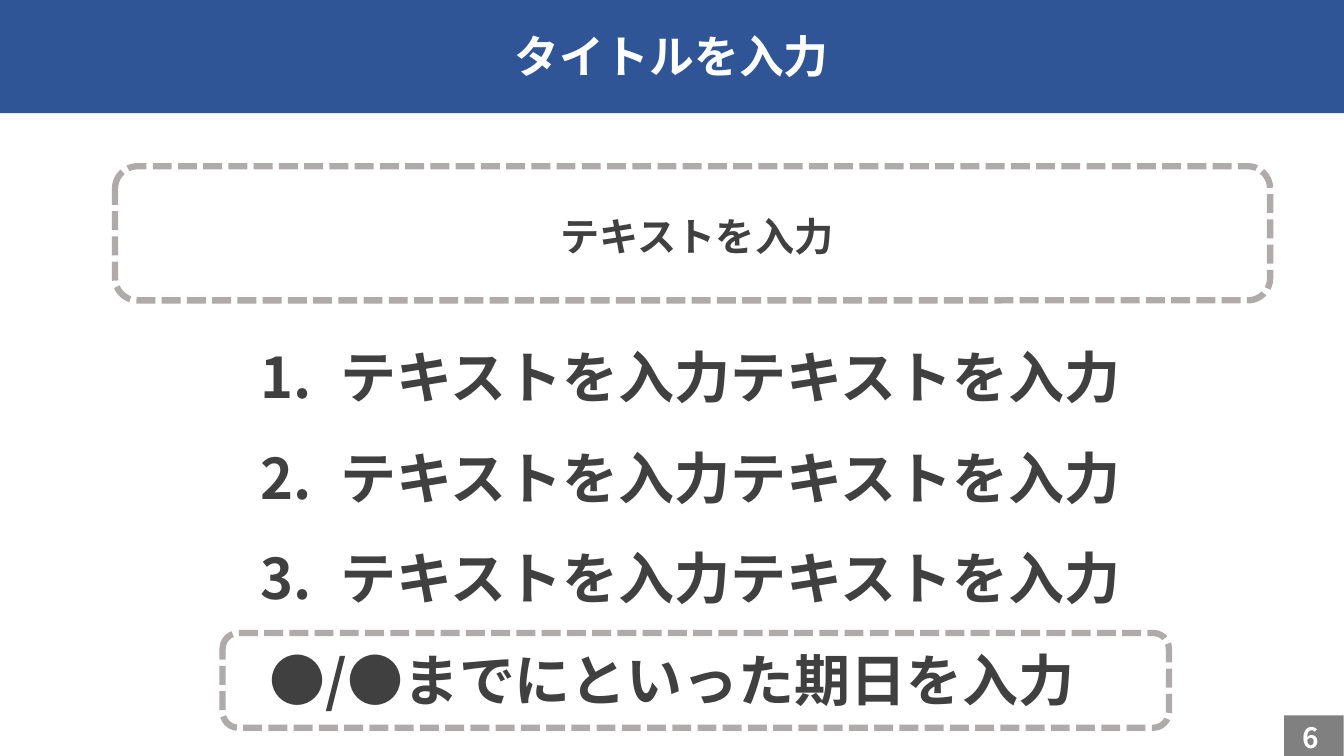
from lxml import etree
from pptx import Presentation, util as u
from pptx.dml.color import RGBColor
from pptx.enum import dml, shapes, text
from pptx.oxml.ns import qn

HUES = {"blue": "2F5597", "dark": "404040", "gray": "808080",
        "edge": "AFABAB", "white": "FFFFFF"}
FONT = "Noto Sans CJK JP"


def hue(name):
    """Return a named colour."""
    return RGBColor.from_string(HUES[name])


def write(frame, lines, size=40, color="dark", align="CENTER", num=False):
    """Write bold paragraphs into a text frame, numbered on request."""
    frame.word_wrap = True
    for i, line in enumerate(lines):
        para = frame.add_paragraph() if i else frame.paragraphs[0]
        para.alignment = getattr(text.PP_ALIGN, align)
        if num:
            para.line_spacing = 1.5
            props = para._p.get_or_add_pPr()
            props.set("marL", str(u.Cm(1.73)))
            props.set("indent", str(u.Cm(-1.7)))
            etree.SubElement(props, qn("a:buFont"), typeface="+mj-lt")
            etree.SubElement(props, qn("a:buAutoNum"), type="arabicPeriod")
        run = para.add_run()
        run.text = line
        font = run.font
        font.name, font.size, font.bold = FONT, u.Pt(size), True
        font.color.rgb = hue(color)
        etree.SubElement(run._r.get_or_add_rPr(), qn("a:ea"), typeface=FONT)


class Page:
    """Hold the slide and its style."""

    def __init__(self, deck):
        """Add a blank slide."""
        self.items = deck.slides.add_slide(deck.slide_layouts[6]).shapes

    def shape(self, kind, box):
        """Add a plain shape."""
        item = self.items.add_shape(kind, *map(u.Cm, box))
        item.shadow.inherit = False
        return item

    def block(self, box, color):
        """Add a filled rectangle."""
        item = self.shape(shapes.MSO_SHAPE.RECTANGLE, box)
        item.fill.solid()
        item.fill.fore_color.rgb = hue(color)
        item.line.fill.background()
        return item.text_frame

    def frame(self, box):
        """Add a dashed rounded outline."""
        item = self.shape(shapes.MSO_SHAPE.ROUNDED_RECTANGLE, box)
        item.fill.background()
        item.line.color.rgb = hue("edge")
        item.line.width = u.Pt(4.5)
        item.line.dash_style = dml.MSO_LINE.SQUARE_DOT

    def label(self, box, lines, flush=False, **form):
        """Add a text box that grows with its text."""
        frame = self.items.add_textbox(*map(u.Cm, box)).text_frame
        frame.auto_size = text.MSO_AUTO_SIZE.SHAPE_TO_FIT_TEXT
        if flush:
            frame.margin_left = frame.margin_right = frame.margin_bottom = 0
            frame.margin_top = u.Cm(0.03)
        write(frame, lines, **form)


def main():
    """Build and save the slide."""
    deck = Presentation()
    deck.slide_width, deck.slide_height = u.Cm(33.87), u.Cm(19.05)
    page = Page(deck)
    page.label((6.53, 7.75, 22, 7.49), [" テキストを入力テキストを入力"] * 3,
               flush=True, align="LEFT", num=True)
    page.label((0, 16.15, 33.87, 1.96), ["●/●までにといった期日を入力"])
    page.frame((2.9, 4.19, 29.11, 3.38))
    page.frame((5.61, 15.95, 23.85, 2.39))
    page.block((32.36, 18.03, 1.5, 1.02), "gray")
    page.label((32.05, 18.03, 1.8, 1.12), [" 6"], size=20, color="white")
    page.label((3.15, 5.23, 28.6, 1.45), [" テキストを入力"], size=28)
    title = page.block((0, -0.05, 33.87, 2.9), "blue")
    title.vertical_anchor = text.MSO_ANCHOR.MIDDLE
    write(title, ["タイトルを入力"], size=32, color="white")
    deck.save("out.pptx")


if __name__ == "__main__":
    main()
